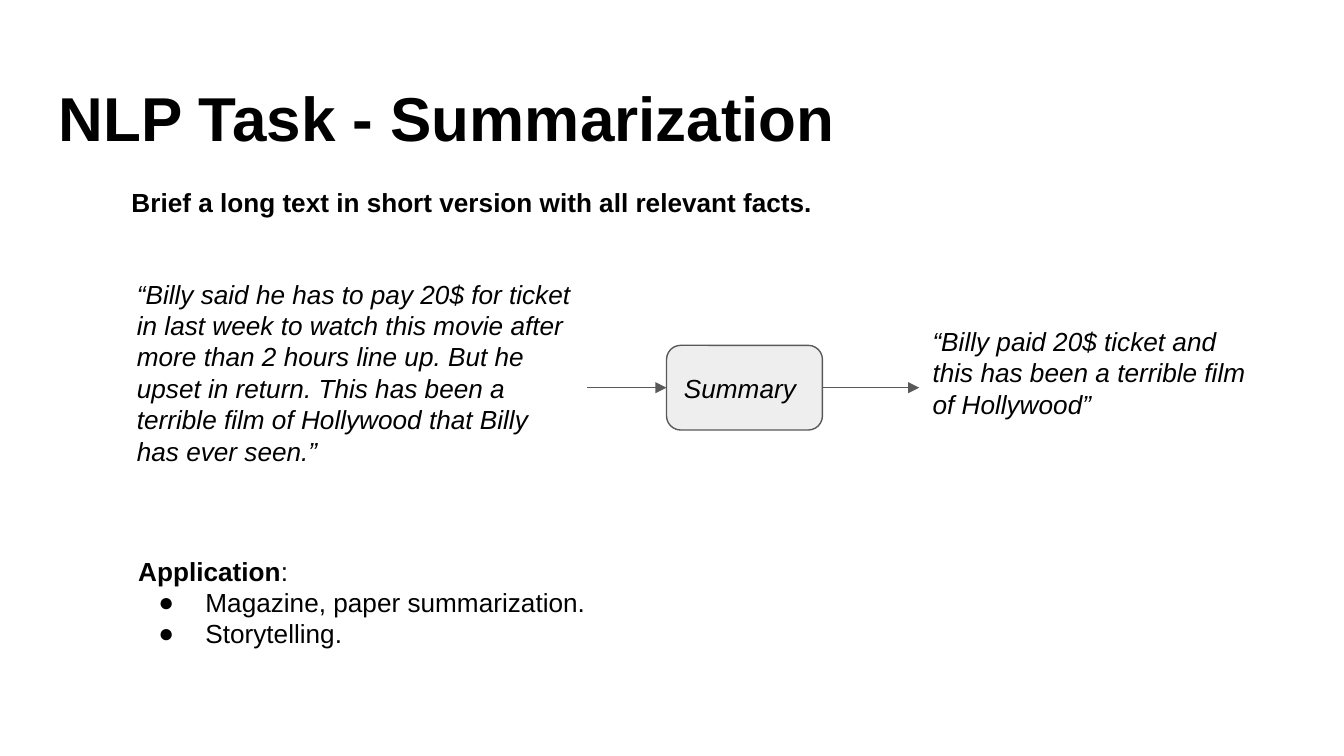
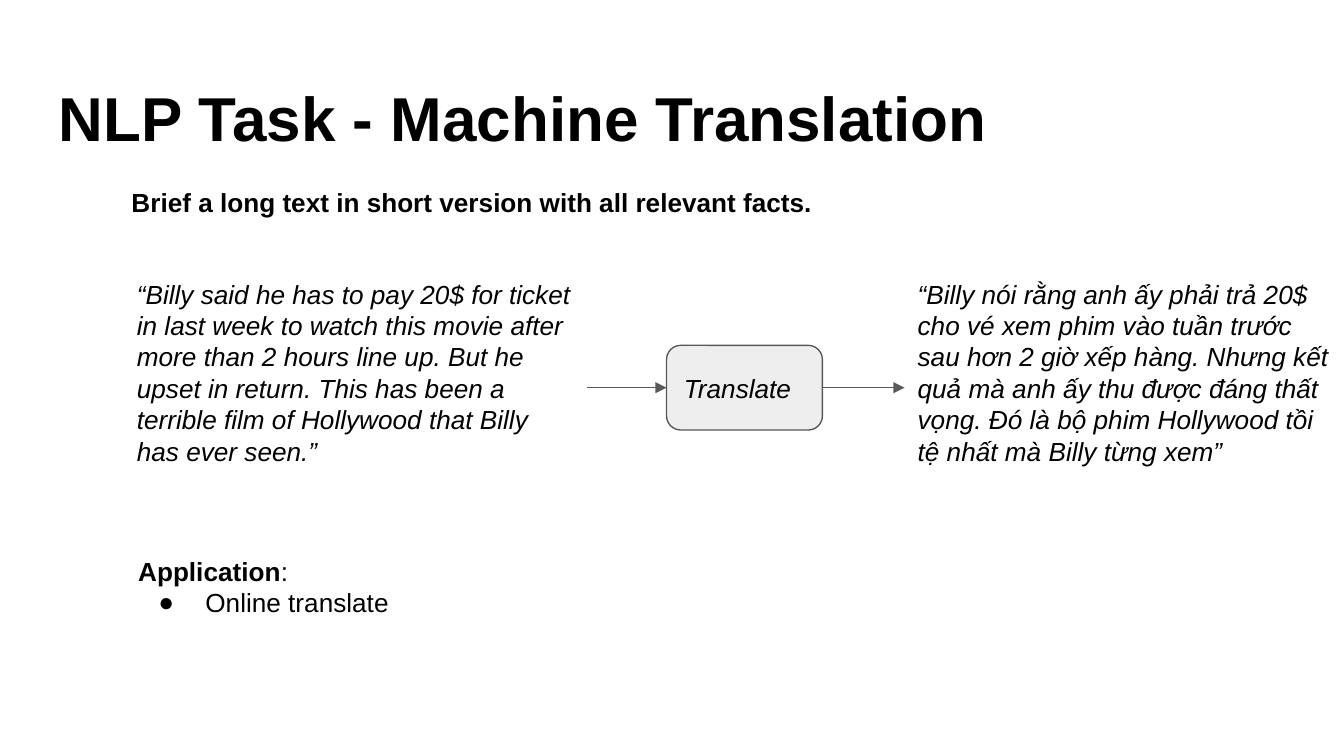
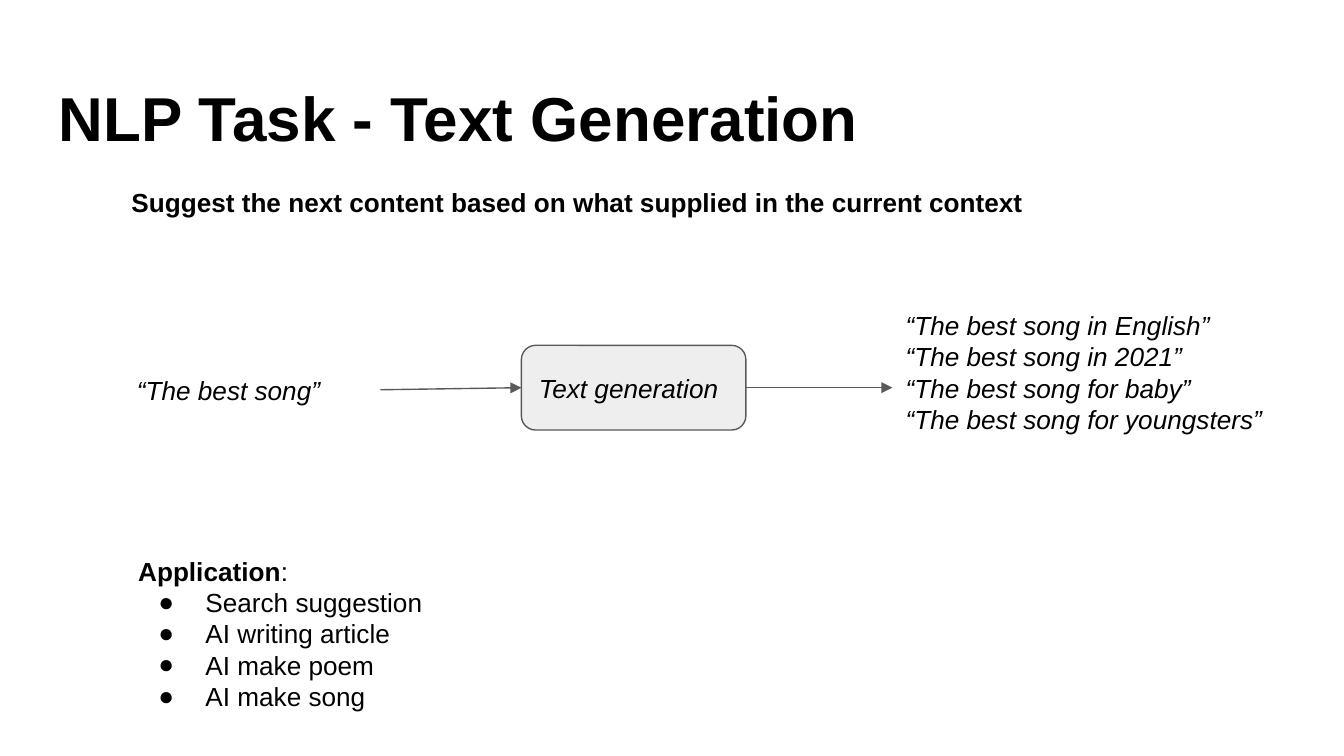
from dataclasses import dataclass

from pptx import Presentation
from pptx.dml.color import RGBColor
from pptx.enum.shapes import MSO_CONNECTOR, MSO_SHAPE
from pptx.enum.text import MSO_ANCHOR, MSO_AUTO_SIZE, PP_ALIGN
from pptx.oxml.xmlchemy import OxmlElement
from pptx.util import Inches, Pt


@dataclass(frozen=True)
class Theme:
    """Colours, font and type sizes of the deck."""

    font: str = "Arial"
    ink: RGBColor = RGBColor(0, 0, 0)
    paper: RGBColor = RGBColor(255, 255, 255)
    block: RGBColor = RGBColor(0xEE, 0xEE, 0xEE)
    line: RGBColor = RGBColor(0x59, 0x59, 0x59)
    title_size: float = 33.2
    body_size: float = 14


THEME = Theme()
LEFT, RIGHT = 1, 3
INSET = 0.1

BILLY = (
    "“Billy said he has to pay 20$ for ticket in last week to watch this movie "
    "after more than 2 hours line up. But he upset in return. This has been a "
    "terrible film of Hollywood that Billy has ever seen.”"
)
BILLY_SOURCE = ([BILLY], (0.92, 2.05, 3.45, 1.67))
BRIEF_GOAL = ("Brief a long text in short version with all relevant facts.", 5.73)

TASKS = [
    {
        "title": "NLP Task - Summarization",
        "goal": BRIEF_GOAL,
        "source": BILLY_SOURCE,
        "step": ("Summary", 4.96, 1.16),
        "result": (
            ["“Billy paid 20$ ticket and this has been a terrible film of Hollywood”"],
            6.84, 2.62,
        ),
        "uses": (["Magazine, paper summarization.", "Storytelling."], 5.68, 1.14),
    },
    {
        "title": "NLP Task - Machine Translation",
        "goal": BRIEF_GOAL,
        "source": BILLY_SOURCE,
        "step": ("Translate", 4.96, 1.16),
        "result": (
            [
                "“Billy nói rằng anh ấy phải trả 20$ cho vé xem phim vào tuần trước "
                "sau hơn 2 giờ xếp hàng. Nhưng kết quả mà anh ấy thu được đáng thất "
                "vọng. Đó là bộ phim Hollywood tồi tệ nhất mà Billy từng xem”"
            ],
            6.73, 3.27,
        ),
        "uses": (["Online translate"], 3.27, 1.14),
    },
    {
        "title": "NLP Task - Text Generation",
        "goal": (
            "Suggest the next content based on what supplied in the current context",
            8.24,
        ),
        "source": (["“The best song”"], (0.92, 2.38, 1.91, 1.04), 0),
        "step": ("Text generation", 3.88, 1.67),
        "result": (
            [
                f"“The best song {ending}”"
                for ending in ("in English", "in 2021", "for baby", "for youngsters")
            ],
            6.64, 2.87,
        ),
        "uses": (
            ["Search suggestion", "AI writing article", "AI make poem", "AI make song"],
            3.27, 1.85,
        ),
    },
]


def add_text(para, text, size=THEME.body_size, bold=False, italic=False):
    """Add a formatted run to a paragraph."""
    para.alignment = PP_ALIGN.LEFT
    span = para.add_run()
    span.text = text
    font = span.font
    font.name, font.size = THEME.font, Pt(size)
    font.bold, font.italic = bold, italic
    font.color.rgb = THEME.ink


def add_element(parent, tag, **attributes):
    """Append an XML element with attributes to a parent."""
    element = OxmlElement(tag)
    for name, value in attributes.items():
        element.set(name, str(value))
    parent.append(element)
    return element


def add_bullet(para):
    """Give a paragraph a hanging round bullet."""
    properties = para._p.get_or_add_pPr()
    properties.set("marL", str(Inches(0.5)))
    properties.set("indent", str(Inches(-0.35)))
    add_element(add_element(properties, "a:buClr"), "a:srgbClr", val=THEME.ink)
    add_element(properties, "a:buSzPts", val=THEME.body_size * 100)
    add_element(properties, "a:buFont", typeface=THEME.font)
    add_element(properties, "a:buChar", char="●")


class TaskDeck:
    """Builds slides that each explain one language task."""

    def __init__(self):
        """Start an empty widescreen deck."""
        self.deck = Presentation()
        self.deck.slide_width = Inches(10)
        self.deck.slide_height = Inches(10) * 9 // 16
        self.page = None

    def new_page(self):
        """Add a blank slide and make it current."""
        self.page = self.deck.slides.add_slide(self.deck.slide_layouts[6])

    def frame(self, box, anchor=MSO_ANCHOR.TOP, top=INSET, bottom=INSET):
        """Set the wrapping, anchor and insets of a box."""
        frame = box.text_frame
        frame.word_wrap = True
        frame.vertical_anchor = anchor
        frame.margin_left = frame.margin_right = Inches(INSET)
        frame.margin_top, frame.margin_bottom = Inches(top), Inches(bottom)
        return frame

    def text_box(self, place):
        """Add an empty text box."""
        return self.page.shapes.add_textbox(*map(Inches, place))

    def shape(self, kind, place, fill, line, width):
        """Add a filled and outlined preset shape."""
        box = self.page.shapes.add_shape(kind, *map(Inches, place))
        box.shadow.inherit = False
        box.fill.solid()
        box.fill.fore_color.rgb = fill
        box.line.color.rgb = line
        box.line.width = Pt(width)
        return box

    def title(self, text):
        """Add the slide title."""
        frame = self.frame(self.text_box((0.34, 0.49, 9.32, 0.63)))
        add_text(frame.paragraphs[0], text, size=THEME.title_size, bold=True)

    def goal(self, text, width):
        """Add the bold statement of the task."""
        place = (0.88, 1.29, width, 0.44)
        box = self.shape(MSO_SHAPE.RECTANGLE, place, THEME.paper, THEME.paper, 2.25)
        frame = self.frame(box)
        frame.auto_size = MSO_AUTO_SIZE.SHAPE_TO_FIT_TEXT
        add_text(frame.paragraphs[0], text, bold=True)

    def step(self, text, left, width):
        """Add the rounded block that names the processing step."""
        place = (left, 2.57, width, 0.63)
        box = self.shape(
            MSO_SHAPE.ROUNDED_RECTANGLE, place, THEME.block, THEME.line, 0.75
        )
        frame = self.frame(box, anchor=MSO_ANCHOR.MIDDLE)
        add_text(frame.paragraphs[0], text, italic=True)
        return box

    def passage(self, lines, place, bottom=0.23):
        """Add an italic passage, centred above its bottom inset."""
        box = self.text_box(place)
        frame = self.frame(box, anchor=MSO_ANCHOR.MIDDLE, top=0, bottom=bottom)
        for index, line in enumerate(lines):
            para = frame.add_paragraph() if index else frame.paragraphs[0]
            add_text(para, line, italic=True)
        return box

    def uses(self, items, width, height):
        """Add the bulleted list of applications."""
        frame = self.frame(self.text_box((0.93, 4.03, width, height)))
        frame.auto_size = MSO_AUTO_SIZE.SHAPE_TO_FIT_TEXT
        add_text(frame.paragraphs[0], "Application", bold=True)
        add_text(frame.paragraphs[0], ":")
        for item in items:
            para = frame.add_paragraph()
            add_bullet(para)
            add_text(para, item)

    def arrow(self, start, end):
        """Join the right side of one box to the left side of the next."""
        arrow = self.page.shapes.add_connector(MSO_CONNECTOR.STRAIGHT, 0, 0, 0, 0)
        arrow.begin_connect(start, RIGHT)
        arrow.end_connect(end, LEFT)
        arrow.line.color.rgb = THEME.line
        arrow.line.width = Pt(0.75)
        add_element(arrow.line._get_or_add_ln(), "a:tailEnd", type="triangle")
        add_element(arrow._element.spPr, "a:effectLst")

    def task(self, title, goal, source, step, result, uses):
        """Build one task slide."""
        self.new_page()
        block = self.step(*step)
        self.title(title)
        self.goal(*goal)
        given = self.passage(*source)
        self.arrow(given, block)
        self.uses(*uses)
        lines, left, width = result
        answer = self.passage(lines, (left, 2.05, width, 1.67))
        self.arrow(block, answer)


def main():
    """Build and save the deck."""
    builder = TaskDeck()
    for task in TASKS:
        builder.task(**task)
    builder.deck.save("out.pptx")


if __name__ == "__main__":
    main()
